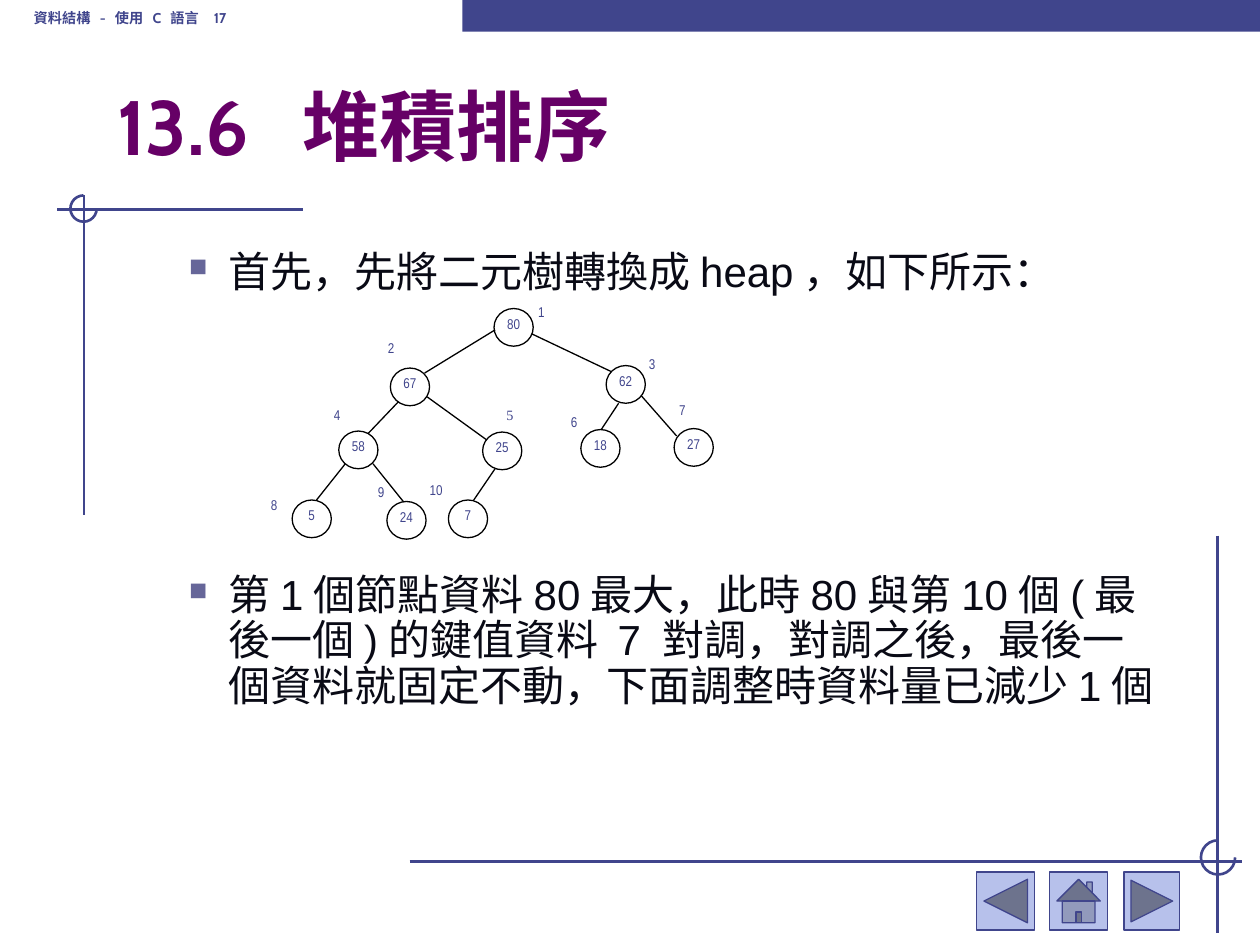
from dataclasses import dataclass

from lxml.etree import SubElement
from pptx import Presentation
from pptx.dml.color import RGBColor
from pptx.enum.shapes import MSO_CONNECTOR, MSO_SHAPE
from pptx.enum.text import MSO_ANCHOR, MSO_AUTO_SIZE, PP_ALIGN
from pptx.oxml.ns import qn
from pptx.util import Cm, Pt


@dataclass(frozen=True)
class Theme:
    indigo: str = "40458C"
    button: str = "B7C1EB"
    purple: str = "660066"
    ink: str = "090A15"
    bullet: str = "666699"
    black: str = "000000"
    heading_font: str = "Cabin"
    body_font: str = "Arial"
    label_font: str = "Arial Narrow"
    serif_font: str = "Times New Roman"
    title_size: float = 44
    body_size: float = 24
    label_size: float = 14
    thick: float = 1.5
    thin: float = 0.75


# Heap positions: value, circle corner, label corner, link from the parent
HEAP = {
    1: (80, (9.96, 6.22), (10.85, 6.10), None),
    2: (67, (7.87, 7.42), (7.82, 6.83), (9.98, 6.65, 8.56, 7.52)),
    3: (62, (12.22, 7.37), (13.08, 7.14), (10.72, 6.73, 12.32, 7.49)),
    4: (58, (6.83, 8.69), (6.73, 8.18), (8.03, 8.10, 7.42, 8.74)),
    5: (25, (9.73, 8.71), (10.21, 8.18), (8.61, 8.00, 9.80, 8.86)),
    6: (18, (11.71, 8.66), (11.51, 8.31), (12.47, 8.13, 12.12, 8.66)),
    7: (27, (13.59, 8.64), (13.69, 8.08), (12.93, 7.98, 13.64, 8.79)),
    8: (5, (5.89, 10.08), (5.46, 9.98), (6.96, 9.35, 6.38, 10.08)),
    9: (24, (7.80, 10.11), (7.62, 9.73), (7.52, 9.35, 8.13, 10.11)),
    10: (7, (9.04, 10.08), (8.66, 9.68), (9.98, 9.45, 9.55, 10.08)),
}
BODY = (
    ("首先，先將二元樹轉換成heap，如下所示：", 0),
    ("第1個節點資料80最大，此時80與第10個(最後一個)的鍵值資料 7 對調，"
     "對調之後，最後一個資料就固定不動，下面調整時資料量已減少1個", 159),
)


class SlideBuilder:
    def __init__(self, slide, theme):
        self.slide = slide
        self.theme = theme

    def frame(self, shape, inset=None, anchor=MSO_ANCHOR.TOP):
        text_frame = shape.text_frame
        formats = {"word_wrap": True, "auto_size": MSO_AUTO_SIZE.NONE,
                   "vertical_anchor": anchor}
        if inset is not None:
            for side in ("left", "top", "right", "bottom"):
                formats[f"margin_{side}"] = Cm(inset)
        for name, value in formats.items():
            setattr(text_frame, name, value)
        return text_frame

    def add_text(self, paragraph, text, font, size, color, bold=False,
                 raised=False, **formats):
        for name, value in formats.items():
            setattr(paragraph, name, value)
        run = paragraph.add_run()
        run.text = text
        for name, value in {"name": font, "size": Pt(size), "bold": bold}.items():
            setattr(run.font, name, value)
        run.font.color.rgb = RGBColor.from_string(color)
        if raised:
            run.font._element.set("baseline", "30000")

    def tab(self, paragraph, position):
        tabs = SubElement(paragraph._p.get_or_add_pPr(), qn("a:tabLst"))
        SubElement(tabs, qn("a:tab"), pos=str(Cm(position)), algn="l")

    def line(self, x1, y1, x2, y2, color, width):
        connector = self.slide.shapes.add_connector(
            MSO_CONNECTOR.STRAIGHT, Cm(x1), Cm(y1), Cm(x2), Cm(y2))
        connector.line.color.rgb = RGBColor.from_string(color)
        connector.line.width = Pt(width)
        SubElement(connector._element.spPr, qn("a:effectLst"))

    def shape(self, kind, box, fill=None, line=None, width=0):
        shape = self.slide.shapes.add_shape(kind, *map(Cm, box))
        shape.shadow.inherit = False
        if fill:
            shape.fill.solid()
            shape.fill.fore_color.rgb = RGBColor.from_string(fill)
        else:
            shape.fill.background()
        if line:
            shape.line.color.rgb = RGBColor.from_string(line)
            shape.line.width = Pt(width)
        else:
            shape.line.fill.background()
        return shape

    def corner_arc(self, left, top, size):
        arc = self.shape(MSO_SHAPE.ARC, (left, top, size, size),
                         line=self.theme.indigo, width=self.theme.thick)
        # From 0 to 270 degrees, in units of 100000/60000 degree
        arc.adjustments[0], arc.adjustments[1] = 0, 162

    def text_box(self, box, **frame_formats):
        shape = self.slide.shapes.add_textbox(*map(Cm, box))
        return self.frame(shape, **frame_formats)

    def header(self, text, box):
        theme = self.theme
        paragraph = self.text_box(box, anchor=MSO_ANCHOR.BOTTOM).paragraphs[0]
        self.tab(paragraph, 3.63)
        self.add_text(paragraph, text, theme.heading_font, theme.label_size,
                      theme.indigo, bold=True, raised=True)

    def title(self, text, box):
        theme, title = self.theme, self.slide.shapes.title
        for name, value in zip(("left", "top", "width", "height"), box):
            setattr(title, name, Cm(value))
        paragraph = self.frame(title, anchor=MSO_ANCHOR.BOTTOM).paragraphs[0]
        self.tab(paragraph, 3.73)
        self.add_text(paragraph, text, theme.heading_font, theme.title_size,
                      theme.purple, bold=True, alignment=PP_ALIGN.LEFT)

    def bullets(self, items, box):
        theme, text_frame = self.theme, self.text_box(box)
        for index, (text, gap) in enumerate(items):
            paragraph = text_frame.add_paragraph() if index else text_frame.paragraphs[0]
            properties = paragraph._p.get_or_add_pPr()
            properties.set("marL", str(Cm(2.06)))
            properties.set("indent", str(Cm(-0.79)))
            color = SubElement(properties, qn("a:buClr"))
            SubElement(color, qn("a:srgbClr"), val=theme.bullet)
            SubElement(properties, qn("a:buSzPct"), val="60000")
            SubElement(properties, qn("a:buChar"), char="■")
            self.add_text(paragraph, text, theme.body_font, theme.body_size,
                          theme.ink, line_spacing=0.9, space_before=Pt(gap))

    def node(self, value, corner):
        theme = self.theme
        circle = self.shape(MSO_SHAPE.OVAL, (*corner, 0.79, 0.76),
                            line=theme.black, width=theme.thin)
        self.add_text(self.frame(circle, inset=0).paragraphs[0], str(value),
                      theme.label_font, theme.label_size, theme.indigo, raised=True,
                      alignment=PP_ALIGN.CENTER, line_spacing=0.96)

    def label(self, position, corner, font):
        theme = self.theme
        text_frame = self.text_box((*corner, 0.86, 0.66), inset=0)
        self.add_text(text_frame.paragraphs[0], str(position), font,
                      theme.label_size, theme.indigo, raised=True, line_spacing=0.96)


def main():
    presentation = Presentation()
    presentation.slide_width, presentation.slide_height = Cm(25.4), Cm(19.05)
    theme = Theme()
    slide = presentation.slides.add_slide(presentation.slide_layouts[5])
    builder = SlideBuilder(slide, theme)

    # Frame lines, corner arcs and top bar
    for ends in ((6.1, 4.22, 1.14, 4.22), (1.69, 3.94, 1.69, 10.39),
                 (8.26, 17.37, 25.04, 17.37), (24.54, 10.8, 24.54, 18.8)):
        builder.line(*ends, theme.indigo, theme.thick)
    builder.corner_arc(1.42, 3.94, 0.53)
    builder.corner_arc(24.21, 16.94, 0.69)
    builder.shape(MSO_SHAPE.RECTANGLE, (9.32, 0, 16.08, 0.64), fill=theme.indigo)

    # Navigation buttons
    for kind, left, width in (
            (MSO_SHAPE.ACTION_BUTTON_BACK_OR_PREVIOUS, 19.69, 1.17),
            (MSO_SHAPE.ACTION_BUTTON_HOME, 21.16, 1.17),
            (MSO_SHAPE.ACTION_BUTTON_FORWARD_OR_NEXT, 22.66, 1.12)):
        builder.shape(kind, (left, 17.58, width, 1.17), theme.button,
                      theme.indigo, theme.thin)

    # Header, title and body text
    builder.header("資料結構 - 使用 C 語言\t17", (0.43, -0.43, 7.82, 1.27))
    builder.title("13.6\t堆積排序", (2.11, 1.47, 21.59, 2.11))
    builder.bullets(BODY, (2.29, 4.93, 21.36, 10.34))

    # Heap tree
    for position, (value, circle, label, link) in HEAP.items():
        builder.node(value, circle)
        font = theme.serif_font if position == 5 else theme.label_font
        builder.label(position, label, font)
        if link:
            builder.line(*link, theme.black, theme.thin)

    presentation.save("out.pptx")


if __name__ == "__main__":
    main()
